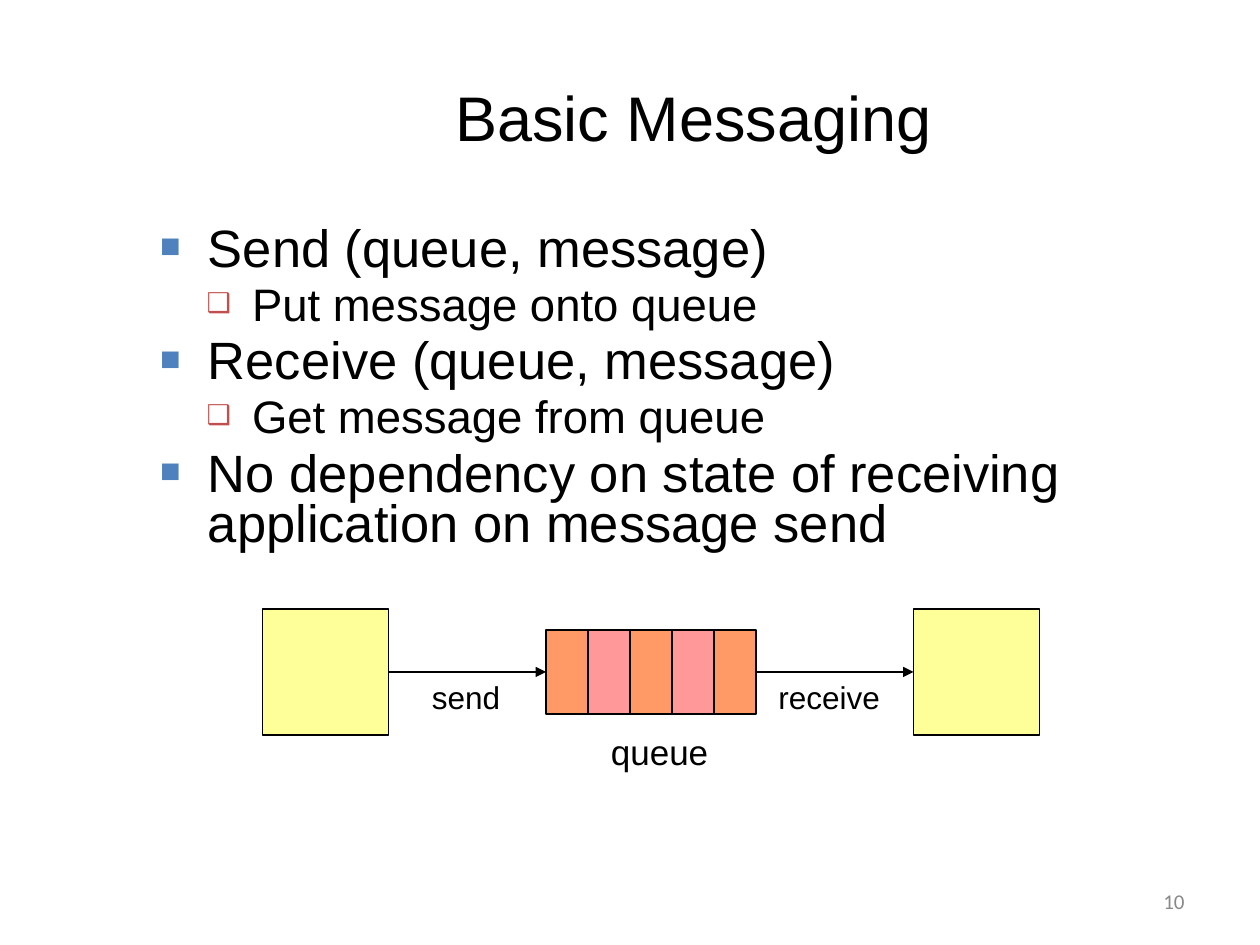
from lxml import etree
from pptx import Presentation
from pptx.dml.color import RGBColor
from pptx.enum.shapes import MSO_CONNECTOR, MSO_SHAPE
from pptx.enum.text import MSO_ANCHOR, MSO_AUTO_SIZE, PP_ALIGN
from pptx.oxml.ns import qn
from pptx.util import Inches, Pt

RECTANGLE = MSO_SHAPE.RECTANGLE
STRAIGHT = MSO_CONNECTOR.STRAIGHT
MIDDLE, TOP = MSO_ANCHOR.MIDDLE, MSO_ANCHOR.TOP
LEFT, CENTER, RIGHT = PP_ALIGN.LEFT, PP_ALIGN.CENTER, PP_ALIGN.RIGHT
NO_FIT, GROW = MSO_AUTO_SIZE.NONE, MSO_AUTO_SIZE.SHAPE_TO_FIT_TEXT
LEFT_SITE, RIGHT_SITE = 1, 3

THEME = {
    "font": "Arial", "number_font": "Calibri",
    "ink": "000000", "number_ink": "898989",
    "endpoint": "FFFF99", "slots": ["FF9966", "FF9999"],
    "title": 36, "number": 12, "label": 18, "queue_label": 20, "line": 1,
}
LEVELS = [
    {"size": 30, "before": 5.4, "margin": 0.38, "hang": 0.38,
     "bullet": "■", "color": "4F81BD", "percent": 65},
    {"size": 26, "before": 5.2, "margin": 0.73, "hang": 0.36,
     "bullet": "❑", "color": "C0504D", "percent": 60},
]

TITLE = "Basic Messaging"
TITLE_AREA = (1.51, 0.3, 7.99, 1.25)
BODY_AREA = (1.17, 1.75, 8.33, 2.75)
POINTS = [
    (0, "Send (queue, message)"),
    (1, "Put message onto queue"),
    (0, "Receive (queue, message)"),
    (1, "Get message from queue"),
    (0, "No dependency on state of receiving application on message send"),
]
LABELS = [
    ("send", (3.33, 5.33, 0.75, 0.4), "label"),
    ("receive", (6.08, 5.33, 1.02, 0.4), "label"),
    ("queue", (4.75, 5.75, 1, 0.43), "queue_label"),
]
PAGE_NUMBER = ("10", (7.17, 6.95, 2.33, 0.4))

AXIS = 5 + 1 / 3
ENDPOINT_LEFTS, ENDPOINT_SIDE = (2 + 1 / 12, 7.25), 1
QUEUE_LEFT, SLOT_COUNT, SLOT_WIDTH, SLOT_HEIGHT = 4 + 1 / 3, 5, 1 / 3, 2 / 3


def color(value):
    return RGBColor.from_string(value)


def inches(area):
    return [Inches(length) for length in area]


def place(box, area):
    box.left, box.top, box.width, box.height = inches(area)


def add_span(para, text, size, font=THEME["font"], ink=THEME["ink"]):
    span = para.add_run()
    span.text = text
    span.font.name = font
    span.font.size = Pt(size)
    span.font.color.rgb = color(ink)


def add_text_box(page, area, text, size, align=LEFT, anchor=TOP, wrap=False, **style):
    frame = page.shapes.add_textbox(*inches(area)).text_frame
    frame.word_wrap = wrap
    frame.auto_size = NO_FIT if wrap else GROW
    frame.vertical_anchor = anchor
    para = frame.paragraphs[0]
    para.alignment = align
    add_span(para, text, size, **style)


def add_bullet(para, level):
    properties = para._p.get_or_add_pPr()
    properties.set("marL", str(Inches(level["margin"])))
    properties.set("indent", str(-Inches(level["hang"])))
    tint = etree.SubElement(properties, qn("a:buClr"))
    etree.SubElement(tint, qn("a:srgbClr"), val=level["color"])
    etree.SubElement(properties, qn("a:buSzPct"), val=str(level["percent"] * 1000))
    etree.SubElement(properties, qn("a:buFont"), typeface=THEME["font"])
    etree.SubElement(properties, qn("a:buChar"), char=level["bullet"])


def fill_title(page):
    box = page.shapes.title
    place(box, TITLE_AREA)
    frame = box.text_frame
    frame.auto_size = NO_FIT
    frame.vertical_anchor = MIDDLE
    para = frame.paragraphs[0]
    para.alignment = CENTER
    add_span(para, TITLE, THEME["title"])


def fill_body(page):
    box = page.placeholders[1]
    place(box, BODY_AREA)
    frame = box.text_frame
    frame.auto_size = NO_FIT
    for index, (depth, text) in enumerate(POINTS):
        level = LEVELS[depth]
        para = frame.add_paragraph() if index else frame.paragraphs[0]
        add_bullet(para, level)
        para.level = depth
        para.line_spacing = 0.8
        para.space_before = Pt(level["before"] if index else 0)
        add_span(para, text, level["size"])


def add_block(page, left, width, height, fill):
    block = page.shapes.add_shape(
        RECTANGLE, *inches((left, AXIS - height / 2, width, height)))
    block.shadow.inherit = False
    block.fill.solid()
    block.fill.fore_color.rgb = color(fill)
    block.line.color.rgb = color(THEME["ink"])
    block.line.width = Pt(THEME["line"])
    return block


def add_arrow(page, source, target):
    arrow = page.shapes.add_connector(STRAIGHT, 0, 0, 0, 0)
    arrow.begin_connect(source, RIGHT_SITE)
    arrow.end_connect(target, LEFT_SITE)
    arrow.line.color.rgb = color(THEME["ink"])
    arrow.line.width = Pt(THEME["line"])
    etree.SubElement(arrow.line._get_or_add_ln(), qn("a:tailEnd"), type="triangle")
    etree.SubElement(arrow._element.spPr, qn("a:effectLst"))


def draw_queue(page):
    fills = THEME["slots"]
    slots = [
        add_block(page, QUEUE_LEFT + index * SLOT_WIDTH, SLOT_WIDTH, SLOT_HEIGHT,
                  fills[index % len(fills)])
        for index in range(SLOT_COUNT)
    ]
    sender, receiver = [
        add_block(page, left, ENDPOINT_SIDE, ENDPOINT_SIDE, THEME["endpoint"])
        for left in ENDPOINT_LEFTS
    ]
    add_arrow(page, sender, slots[0])
    add_arrow(page, slots[-1], receiver)
    for text, area, size in LABELS:
        add_text_box(page, area, text, THEME[size])


def main():
    deck = Presentation()
    deck.slide_width, deck.slide_height = Inches(10), Inches(7.5)
    page = deck.slides.add_slide(deck.slide_layouts[1])
    fill_title(page)
    fill_body(page)
    draw_queue(page)
    text, area = PAGE_NUMBER
    add_text_box(page, area, text, THEME["number"], RIGHT, MIDDLE, True,
                 font=THEME["number_font"], ink=THEME["number_ink"])
    deck.save("out.pptx")


if __name__ == "__main__":
    main()
